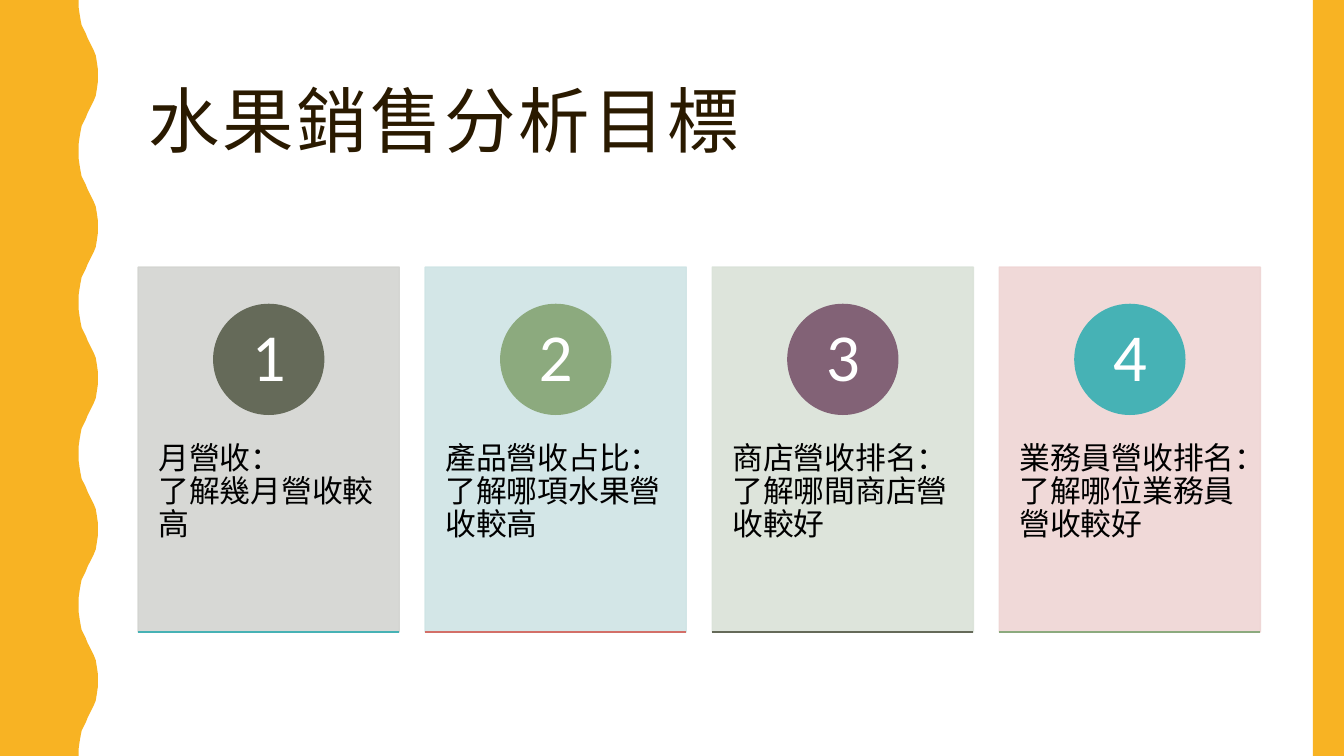
from lxml import etree
from pptx import Presentation
from pptx.dml.color import RGBColor
from pptx.enum import shapes, text
from pptx.oxml.ns import qn
from pptx.util import Inches, Pt

AMBER = RGBColor(0xF8, 0xB3, 0x23)
BROWN = RGBColor(0x2A, 0x1A, 0x00)
BLACK = RGBColor(0, 0, 0)
WHITE = RGBColor(0xFF, 0xFF, 0xFF)
OLIVE = RGBColor(0x65, 0x6A, 0x59)
GREEN = RGBColor(0x8C, 0xAA, 0x7E)
PLUM = RGBColor(0x82, 0x62, 0x76)
TEAL = RGBColor(0x46, 0xB2, 0xB5)
CORAL = RGBColor(0xD3, 0x6F, 0x68)
PALE_GRAY = RGBColor(0xD3, 0xD4, 0xD1)
PALE_BLUE = RGBColor(0xCF, 0xE4, 0xE5)
PALE_GREEN = RGBColor(0xDA, 0xE2, 0xD8)
PALE_PINK = RGBColor(0xEF, 0xD5, 0xD4)

GOALS = [
    ("月營收：\v了解幾月營收較高", PALE_GRAY, OLIVE, TEAL),
    ("產品營收占比：了解哪項水果營收較高", PALE_BLUE, GREEN, CORAL),
    ("商店營收排名：了解哪間商店營收較好", PALE_GREEN, PLUM, OLIVE),
    ("業務員營收排名：了解哪位業務員營收較好", PALE_PINK, TEAL, GREEN),
]
CARD_LEFT, CARD_TOP, CARD_W, CARD_H = 1.37, 2.65, 2.59, 3.62
CARD_PITCH = 2.847
CIRCLE = 1.09
WAVE_PERIOD, WAVE_COUNT = 1.5, 5
HALF_WAVE = [(0.78, 0), (0.78, 0.07), (0.79, 0.14), (0.8, 0.2), (0.81, 0.25),
             (0.83, 0.29), (0.85, 0.33), (0.87, 0.38), (0.89, 0.42), (0.91, 0.46),
             (0.93, 0.5), (0.95, 0.55), (0.96, 0.61), (0.97, 0.68), (0.97, 0.75)]


def set_alpha(sp, percent):
    for color in sp._element.spPr.iter(qn("a:srgbClr")):
        etree.SubElement(color, qn("a:alpha")).set("val", str(percent * 1000))


def add_box(s, kind, left, top, width, height, color, line=True):
    sp = s.shapes.add_shape(kind, Inches(left), Inches(top), Inches(width), Inches(height))
    sp.shadow.inherit = False
    sp.fill.solid()
    sp.fill.fore_color.rgb = color
    if line:
        sp.line.color.rgb = color
        sp.line.width = Pt(1)
    else:
        sp.line.fill.background()
    return sp


def write(sp, words, size, color, font, insets, anchor, align):
    tf = sp.text_frame
    tf.word_wrap = True
    tf.auto_size = text.MSO_AUTO_SIZE.NONE
    tf.vertical_anchor = anchor
    tf.margin_left = tf.margin_right = Inches(insets[0])
    tf.margin_top = tf.margin_bottom = Inches(insets[1])
    p = tf.paragraphs[0]
    p.text = words
    p.alignment = align
    p.line_spacing = 0.9
    p.font.size = Pt(size)
    p.font.name = font
    p.font.color.rgb = color
    return p


def add_title(s, words):
    title = s.shapes.title
    title.left, title.top = Inches(1.37), Inches(0.42)
    title.width, title.height = Inches(11.13), Inches(1.63)
    p = write(title, words, 51, BROWN, "Roboto Condensed", (0.1, 0.05),
              text.MSO_ANCHOR.MIDDLE, text.PP_ALIGN.LEFT)
    for r in p.runs:
        r._r.get_or_add_rPr().set("spc", "200")


def add_wave(s):
    period = HALF_WAVE + [(x, WAVE_PERIOD - y) for x, y in HALF_WAVE[-2::-1]]
    edge = [(x, y + i * WAVE_PERIOD) for i in range(WAVE_COUNT) for x, y in period]
    points = edge + [(0, WAVE_PERIOD * WAVE_COUNT)]
    builder = s.shapes.build_freeform(0, 0)
    builder.add_line_segments([(Inches(x), Inches(y)) for x, y in points], close=True)
    sp = builder.convert_to_shape()
    sp.shadow.inherit = False
    sp.fill.solid()
    sp.fill.fore_color.rgb = AMBER
    sp.line.fill.background()


def add_rule(s, left, top, width, color):
    line = s.shapes.add_connector(shapes.MSO_CONNECTOR.STRAIGHT, Inches(left), Inches(top),
                                  Inches(left + width), Inches(top))
    line.line.color.rgb = color
    line.line.width = Pt(1)
    etree.SubElement(line._element.spPr, qn("a:effectLst"))


def add_card(s, index, words, pale, circle_color, rule_color):
    left = CARD_LEFT + index * CARD_PITCH
    card = add_box(s, shapes.MSO_SHAPE.RECTANGLE, left, CARD_TOP, CARD_W, CARD_H, pale)
    set_alpha(card, 90)
    box = s.shapes.add_textbox(Inches(left), Inches(4.03), Inches(CARD_W), Inches(2.17))
    write(box, words, 22, BLACK, "Calibri", (0.2, 0.36),
          text.MSO_ANCHOR.TOP, text.PP_ALIGN.LEFT)
    circle = add_box(s, shapes.MSO_SHAPE.OVAL, left + (CARD_W - CIRCLE) / 2, 3.02,
                     CIRCLE, CIRCLE, circle_color)
    write(circle, str(index + 1), 48, WHITE, "Calibri", (0.08, 0.01),
          text.MSO_ANCHOR.MIDDLE, text.PP_ALIGN.CENTER)
    add_rule(s, left, CARD_TOP + CARD_H, CARD_W, rule_color)


def main():
    prs = Presentation()
    prs.slide_width, prs.slide_height = Inches(13.33), Inches(7.5)
    s = prs.slides.add_slide(prs.slide_layouts[5])
    s.background.fill.solid()
    s.background.fill.fore_color.rgb = WHITE
    add_title(s, "水果銷售分析目標")
    add_wave(s)
    add_box(s, shapes.MSO_SHAPE.RECTANGLE, 13.02, 0, 0.31, 7.5, AMBER, line=False)
    for index, goal in enumerate(GOALS):
        add_card(s, index, *goal)
    prs.save("out.pptx")


if __name__ == "__main__":
    main()
